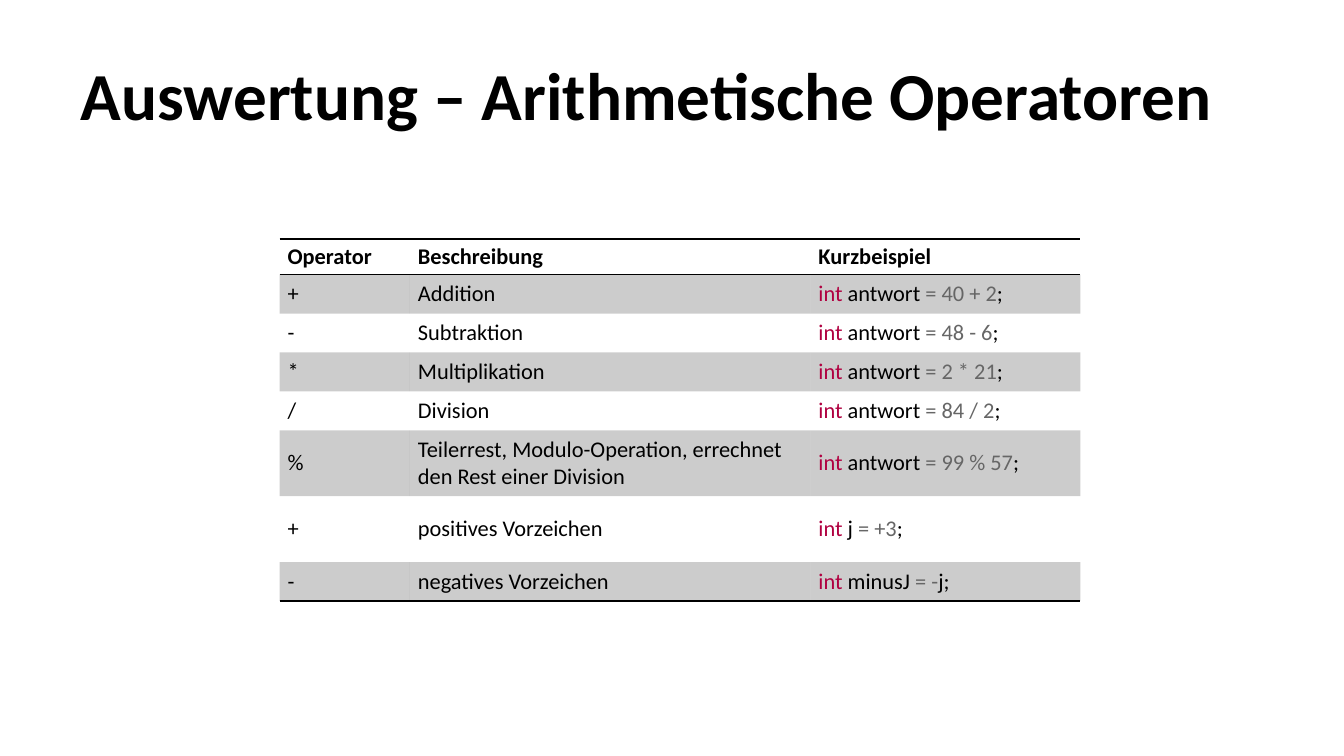
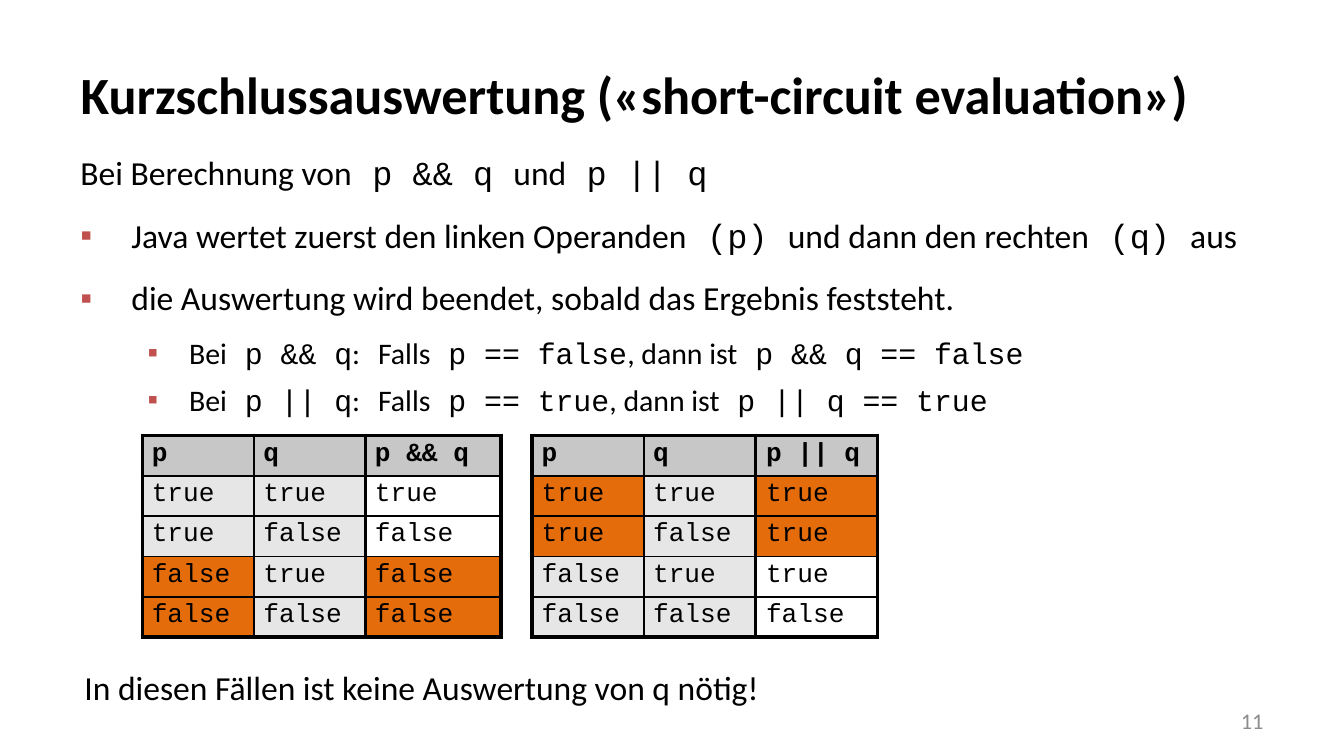
import itertools

import pptx
import pptx.dml.color
import pptx.enum.text
import pptx.oxml
import pptx.oxml.ns
import pptx.util

COLORS = {
    "text": "000000",
    "keyword": "B00040",
    "literal": "666666",
    "bullet": "C0504D",
    "page_number": "8C8C8C",
    "heading": "C7C7C7",
    "operand": "E6E6E6",
    "decided": "E46C0A",
}
PROSE, CODE = "Calibri", "Courier New"
PLAIN_TABLE = "{2D5ABB26-0587-4C30-8999-92F81FD0307C}"
WIDTH = pptx.util.Inches(10)
HEIGHT = WIDTH * 9 // 16
COLUMNS = 10  # square grid, ten units across the slide
MIDDLE = pptx.enum.text.MSO_ANCHOR.MIDDLE
TOP = pptx.enum.text.MSO_ANCHOR.TOP

OPERATORS = [
    ("+", "Addition", ("antwort ", "= 40 + 2", ";")),
    ("-", "Subtraktion", ("antwort ", "= 48 - 6", ";")),
    ("*", "Multiplikation", ("antwort ", "= 2 * 21", ";")),
    ("/", "Division", ("antwort ", "= 84 / 2", ";")),
    ("%", "Teilerrest, Modulo-Operation, errechnet den Rest einer Division",
     ("antwort ", "= 99 % 57", ";")),
    ("+", "positives Vorzeichen", ("j ", "= +3", ";")),
    ("-", "negatives Vorzeichen", ("minusJ ", "= -", "j;")),
]
# Text between backticks is set in the code font.
EXPLANATION = [
    (None, "Bei Berechnung von` p && q `und` p || q"),
    (0, "Java wertet zuerst den linken Operanden` (p) `und dann den rechten` (q) `aus"),
    (0, "die Auswertung wird beendet, sobald das Ergebnis feststeht."),
    (1, "Bei` p && q`:` `Falls` p == false`, dann ist` p && q == false"),
    (1, "Bei` p || q`:` `Falls` p == true`, dann ist` p || q == true"),
]


def grid(units):
    return round(WIDTH / COLUMNS * units)


def rgb(name):
    return pptx.dml.color.RGBColor.from_string(COLORS[name])


def add_run(paragraph, text, size, color="text", font=PROSE, bold=False):
    run = paragraph.add_run()
    run.text = text
    run.font.size = pptx.util.Pt(size)
    run.font.name = font
    run.font.bold = bold
    run.font.color.rgb = rgb(color)


def add_marked_text(paragraph, text, size):
    for part, font in zip(text.split("`"), itertools.cycle((PROSE, CODE))):
        add_run(paragraph, part, size, font=font)


def add_bullet(paragraph, level):
    paragraph.level = level
    properties = paragraph._p.get_or_add_pPr()
    margin, hanging = ((0.38, 0.38), (0.81, 0.31))[level]
    properties.set("marL", str(grid(margin)))
    properties.set("indent", str(-grid(hanging)))
    namespace = pptx.oxml.ns.nsdecls("a")
    for xml in (
        f'<a:buClr {namespace}><a:srgbClr val="{COLORS["bullet"]}"/></a:buClr>',
        f'<a:buFont {namespace} typeface="Arial"/>',
        f'<a:buChar {namespace} char="▪"/>',
    ):
        properties.append(pptx.oxml.parse_xml(xml))


def add_titled_slide(deck, title, size):
    slide = deck.slides.add_slide(deck.slide_layouts[5])
    heading = slide.shapes.title
    heading.left, heading.top, heading.width, heading.height = map(grid, (0.5, 0.23, 9, 0.94))
    frame = heading.text_frame
    frame.auto_size = pptx.enum.text.MSO_AUTO_SIZE.NONE
    frame.vertical_anchor = MIDDLE
    frame.paragraphs[0].alignment = pptx.enum.text.PP_ALIGN.LEFT
    add_run(frame.paragraphs[0], title, size, bold=True)
    return slide


def add_text_frame(slide, left, top, width, height):
    frame = slide.shapes.add_textbox(*map(grid, (left, top, width, height))).text_frame
    frame.word_wrap = True
    return frame


def add_plain_table(slide, left, top, widths, heights):
    table = slide.shapes.add_table(
        len(heights), len(widths), grid(left), grid(top), grid(sum(widths)), grid(sum(heights))
    ).table
    table.first_row = table.horz_banding = False
    table._tbl.tblPr.find(pptx.oxml.ns.qn("a:tableStyleId")).text = PLAIN_TABLE
    for tracks, attribute, sizes in ((table.columns, "width", widths),
                                     (table.rows, "height", heights)):
        for track, size in zip(tracks, sizes):
            setattr(track, attribute, grid(size))
    return table


def format_cell(cell, inset, anchor, borders, fill=None, opacity=100):
    """Set margins, border widths by side (L, R, T, B) and fill; returns the paragraph."""
    cell.margin_left = cell.margin_right = grid(inset[0])
    cell.margin_top = cell.margin_bottom = grid(inset[1])
    cell.vertical_anchor = anchor
    properties = cell._tc.get_or_add_tcPr()
    for side in "LRTB":
        if side in borders:
            properties.append(pptx.oxml.parse_xml(
                f'<a:ln{side} {pptx.oxml.ns.nsdecls("a")} w="{pptx.util.Pt(borders[side])}">'
                f'<a:solidFill><a:srgbClr val="{COLORS["text"]}"/></a:solidFill></a:ln{side}>'
            ))
    if fill is None:
        cell.fill.background()
    else:
        cell.fill.solid()
        cell.fill.fore_color.rgb = rgb(fill)
        if opacity < 100:
            color = next(properties.find(pptx.oxml.ns.qn("a:solidFill")).iterchildren())
            color.append(pptx.oxml.parse_xml(
                f'<a:alpha {pptx.oxml.ns.nsdecls("a")} val="{opacity * 1000}"/>'
            ))
    return cell.text_frame.paragraphs[0]


def add_operator_table(slide):
    heights = [0.26] + [0.29] * 4 + [0.49] * 2 + [0.29]
    table = add_plain_table(slide, 2.08, 1.78, (0.97, 2.98, 2.01), heights)
    rows = [("Operator", "Beschreibung", "Kurzbeispiel")] + OPERATORS
    for row, contents in enumerate(rows):
        borders = {0: {"T": 1, "B": 1}, len(rows) - 1: {"B": 1}}.get(row, {})
        for column, content in enumerate(contents):
            paragraph = format_cell(table.cell(row, column), (0.06, 0.03), MIDDLE, borders,
                                    "text" if row % 2 else None, 20)
            if isinstance(content, str):
                add_run(paragraph, content, 12, bold=row == 0)
                continue
            for part, color in zip(("int ",) + content, ("keyword", "text", "literal", "text")):
                add_run(paragraph, part, 12, color)


def add_truth_table(slide, left, widths, edges, headings, deciding):
    """Highlight p and the result wherever p has the deciding value; edges are line widths."""
    table = add_plain_table(slide, left, 3.24, widths, [0.3] * 5)
    row_edges = [2.25] + [1] * 4 + [2.25]
    cases = [None] + list(itertools.product((True, False), repeat=2))
    for row, case in enumerate(cases):
        for column, heading in enumerate(headings):
            text, fill = heading, "heading"
            if case:
                p, q = case
                values = {"p": p, "q": q, "p && q": p and q, "p || q": p or q}
                text = str(values[heading]).lower()
                if p == deciding and heading != "q":
                    fill = "decided"
                else:
                    fill = "operand" if heading in ("p", "q") else None
            borders = {"L": edges[column], "R": edges[column + 1],
                       "T": row_edges[row], "B": row_edges[row + 1]}
            paragraph = format_cell(table.cell(row, column), (0.07, 0.03), TOP, borders, fill)
            add_run(paragraph, text, 14, font=CODE, bold=case is None)


def add_explanation(slide):
    frame = add_text_frame(slide, 0.5, 1.08, 9, 3.31)
    for index, (level, text) in enumerate(EXPLANATION):
        paragraph = frame.add_paragraph() if index else frame.paragraphs[0]
        if level is not None:
            add_bullet(paragraph, level)
        gap = pptx.util.Pt(3 if level == 1 else 6)
        paragraph.space_before = gap if index else 0
        paragraph.space_after = gap
        add_marked_text(paragraph, text, 16 if level == 1 else 18)


def add_page_number(slide, number):
    frame = add_text_frame(slide, 7.17, 5.21, 2.33, 0.3)
    frame.vertical_anchor = MIDDLE
    frame.paragraphs[0].alignment = pptx.enum.text.PP_ALIGN.RIGHT
    add_run(frame.paragraphs[0], number, 12, "page_number")


def main():
    deck = pptx.Presentation()
    deck.slide_width, deck.slide_height = WIDTH, HEIGHT

    operators = add_titled_slide(deck, "Auswertung – Arithmetische Operatoren", 36)
    add_operator_table(operators)

    evaluation = add_titled_slide(
        deck, "Kurzschlussauswertung («short-circuit evaluation»)", 28)
    add_explanation(evaluation)
    add_page_number(evaluation, "11")
    add_truth_table(evaluation, 1.06, (0.83, 0.83, 1.01), (2.25, 1, 1.5, 2.25),
                    ("p", "q", "p && q"), deciding=False)
    add_truth_table(evaluation, 5.63, (0.9,), (1, 2.25), ("p || q",), deciding=True)
    add_truth_table(evaluation, 3.96, (0.83, 0.83), (2.25, 1, 1.5), ("p", "q"), deciding=True)
    conclusion = add_text_frame(evaluation, 0.53, 4.91, 7.4, 0.4)
    add_run(conclusion.paragraphs[0], "In diesen Fällen ist keine Auswertung von q nötig!", 18)

    deck.save("out.pptx")


if __name__ == "__main__":
    main()
